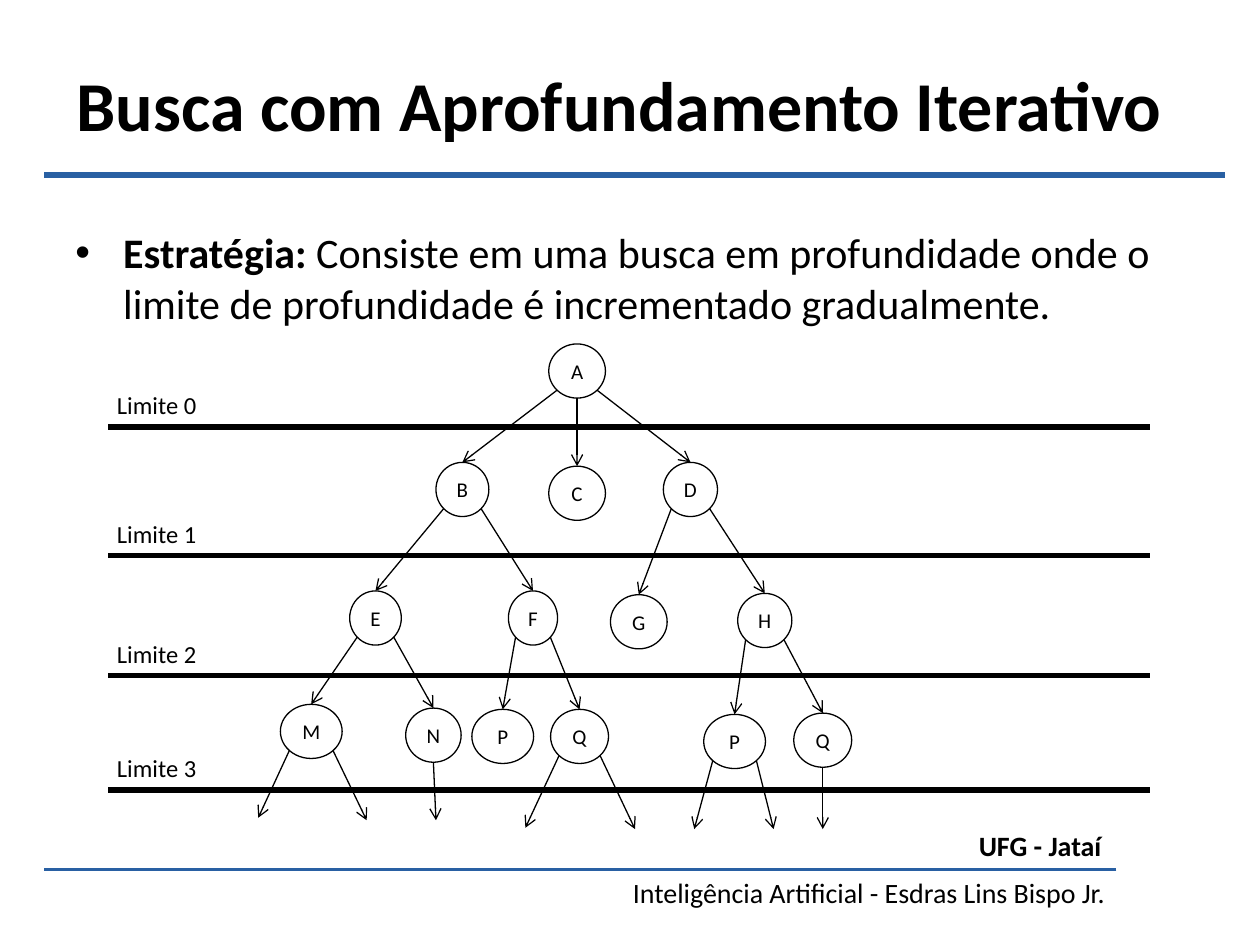
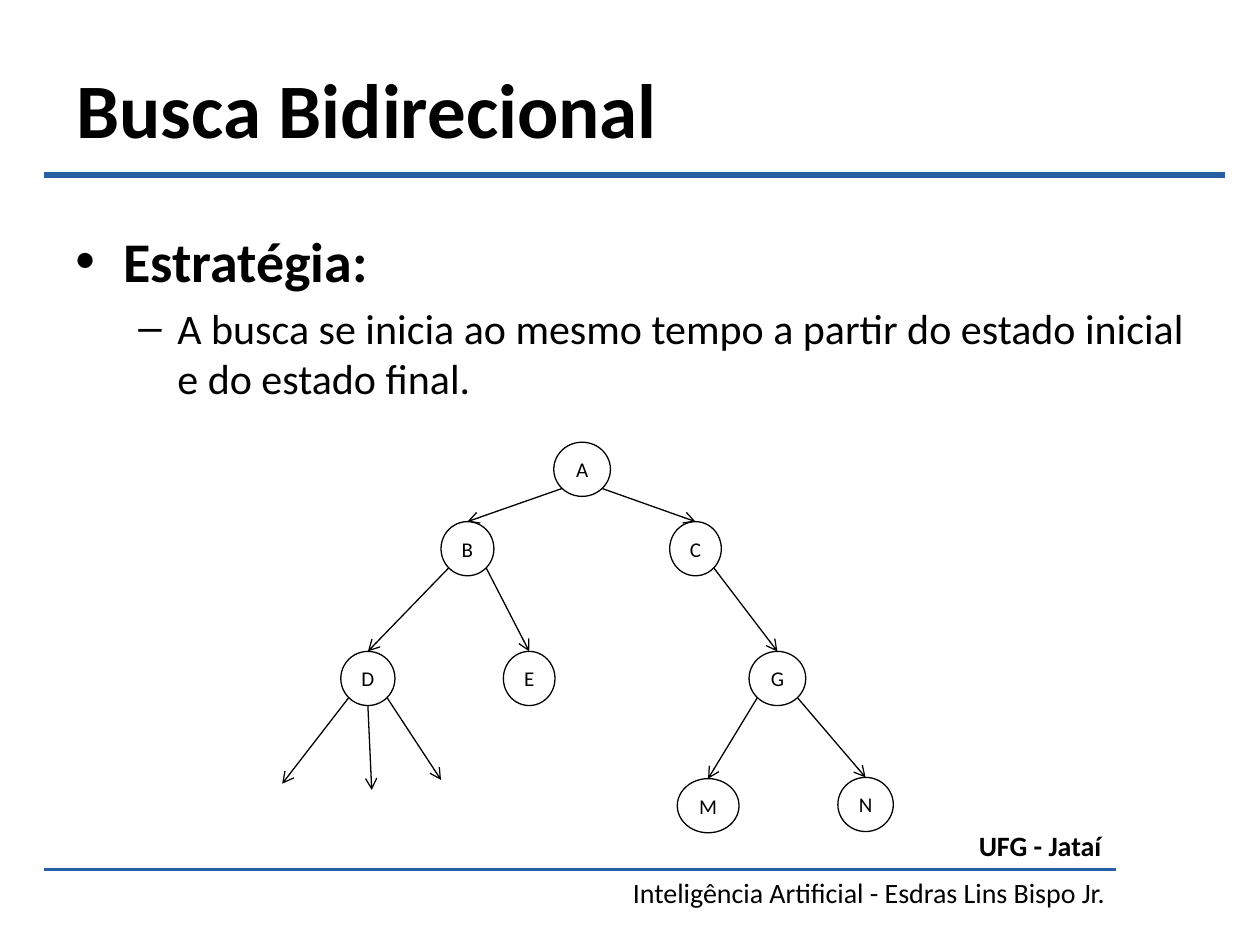
"""Builds two slides on tree search strategies."""
from math import sqrt

from lxml import etree
from pptx import Presentation
from pptx.dml.color import RGBColor
from pptx.enum.shapes import MSO_CONNECTOR as LINE, MSO_SHAPE as SHAPE
from pptx.enum.text import MSO_ANCHOR as ANCHOR, PP_ALIGN as ALIGN
from pptx.oxml.ns import qn
from pptx.util import Inches, Pt

FONT = "Calibri"
BLACK, BLUE = "000000", "2960A3"
NODE_H = 0.43
LIMITS = [3.39, 4.41, 5.36, 6.27]

# Node: centre x, top, width. The first letter of the key is the label.
ITERATIVE_NODES = {
    "A": (4.58, 2.73, 0.45), "B": (3.67, 3.67, 0.42), "C": (4.58, 3.7, 0.45),
    "D": (5.48, 3.67, 0.43), "E": (2.98, 4.69, 0.41), "F": (4.23, 4.69, 0.39),
    "G": (5.07, 4.72, 0.45), "H": (6.07, 4.71, 0.43), "M": (2.47, 5.59, 0.49),
    "N": (3.44, 5.62, 0.44), "P1": (3.99, 5.63, 0.49), "Q1": (4.6, 5.63, 0.46),
    "P2": (5.83, 5.67, 0.49), "Q2": (6.53, 5.66, 0.46),
}
ITERATIVE_CHILDREN = {
    "A": ["B", "C", "D"], "B": ["E", "F"], "D": ["G", "H"],
    "E": ["M", "N"], "F": ["P1", "Q1"], "H": ["P2", "Q2"],
}
ITERATIVE_OPEN_ENDS = {
    "M": [(2.05, 6.49), (2.91, 6.51)], "N": [(3.46, 6.51)],
    "Q1": [(4.17, 6.57), (5.04, 6.58)], "P2": [(5.51, 6.58), (6.14, 6.58)],
    "Q2": [(6.53, 6.58)],
}
BIDIRECTIONAL_NODES = {
    "A": (4.62, 3.51, 0.45), "B": (3.71, 4.14, 0.42), "C": (5.52, 4.14, 0.41),
    "D": (2.92, 5.17, 0.43), "E": (4.2, 5.17, 0.41), "G": (6.17, 5.17, 0.45),
    "M": (5.62, 6.18, 0.49), "N": (6.87, 6.17, 0.44),
}
BIDIRECTIONAL_CHILDREN = {"A": ["B", "C"], "B": ["D", "E"], "C": ["G"], "G": ["M", "N"]}
BIDIRECTIONAL_OPEN_ENDS = {"D": [(2.24, 6.22), (2.95, 6.27), (3.5, 6.19)]}


def rgb(value):
    """Turn a hex string into a colour."""
    return RGBColor.from_string(value)


def add_run(p, text, size, bold=False):
    """Append one styled run to a paragraph."""
    r = p.add_run()
    r.text = text
    r.font.name, r.font.size, r.font.bold = FONT, Pt(size), bold
    r.font.color.rgb = rgb(BLACK)


def add_text(s, x, y, w, h, text, size, bold=False, align=ALIGN.LEFT):
    """Add a one-line text box."""
    tf = s.shapes.add_textbox(Inches(x), Inches(y), Inches(w), Inches(h)).text_frame
    tf.word_wrap = True
    p = tf.paragraphs[0]
    p.alignment = align
    add_run(p, text, size, bold)


def add_line(s, start, end, width=0.75, color=BLACK, arrow=False):
    """Add a straight line, with an arrowhead at its end if asked."""
    points = [Inches(v) for v in (*start, *end)]
    line = s.shapes.add_connector(LINE.STRAIGHT, *points)
    line.line.width = Pt(width)
    line.line.color.rgb = rgb(color)
    if arrow:
        etree.SubElement(line.line._get_or_add_ln(), qn("a:tailEnd"), type="arrow")
    etree.SubElement(line._element.spPr, qn("a:effectLst"))
    return line


def add_bullet(p, char, indent, hanging, size, runs):
    """Fill a paragraph as a bullet with a hanging indent."""
    p.space_before = Pt(0.2 * size)
    pPr = p._p.get_or_add_pPr()
    pPr.set("marL", str(Inches(indent)))
    pPr.set("indent", str(-Inches(hanging)))
    etree.SubElement(pPr, qn("a:buFont"), typeface="Arial")
    etree.SubElement(pPr, qn("a:buChar"), char=char)
    for text, bold in runs:
        add_run(p, text, size, bold)


def add_body(s, bullets):
    """Add the body text, one bullet per paragraph."""
    tf = s.shapes.add_textbox(Inches(0.5), Inches(1.75), Inches(9), Inches(4.95)).text_frame
    tf.word_wrap = True
    for i, bullet in enumerate(bullets):
        add_bullet(tf.add_paragraph() if i else tf.paragraphs[0], *bullet)


def add_node(s, label, cx, top, width):
    """Add a circled letter of the search tree."""
    sp = s.shapes.add_shape(SHAPE.OVAL, Inches(cx - width / 2), Inches(top),
                            Inches(width), Inches(NODE_H))
    sp.shadow.inherit = False
    sp.fill.background()
    sp.line.color.rgb = rgb(BLACK)
    sp.line.width = Pt(0.75)
    tf = sp.text_frame
    tf.margin_left = tf.margin_right = tf.margin_top = tf.margin_bottom = 0
    tf.word_wrap = False
    tf.vertical_anchor = ANCHOR.MIDDLE
    p = tf.paragraphs[0]
    p.alignment = ALIGN.CENTER
    add_run(p, label, 12)
    return sp


def exit_point(node, target_x):
    """Give the point of a node's lower edge that faces the target."""
    cx, top, width = node
    dx = target_x - cx
    if abs(dx) < 0.05:
        return cx, top + NODE_H
    side = 1 if dx > 0 else -1
    return cx + side * width / sqrt(8), top + NODE_H / 2 + NODE_H / sqrt(8)


def add_tree(s, nodes, children, open_ends):
    """Draw the nodes, the arrows between them and the open arrows."""
    circles = {key: add_node(s, key[0], *node) for key, node in nodes.items()}
    for parent, keys in children.items():
        for key in keys:
            cx, top, _ = nodes[key]
            line = add_line(s, exit_point(nodes[parent], cx), (cx, top), arrow=True)
            line.end_connect(circles[key], 0)
    for parent, ends in open_ends.items():
        for end in ends:
            add_line(s, exit_point(nodes[parent], end[0]), end, arrow=True)


def add_limits(s):
    """Draw the numbered depth limits."""
    for i, y in enumerate(LIMITS):
        add_text(s, 0.83, y - 0.34, 1.1, 0.34, f"Limite {i}", 14)
        add_line(s, (0.86, y), (9.13, y), 3)


def add_frame(prs, title, size):
    """Add a slide with its title, rules and footer."""
    s = prs.slides.add_slide(prs.slide_layouts[6])
    add_line(s, (9.72, 1.39), (0.35, 1.39), 3, BLUE)
    add_text(s, 0.51, 0.44, 9.2, 0.8, title, size, True)
    add_line(s, (8.86, 6.9), (0.35, 6.9), 1.5, BLUE)
    add_text(s, 6.84, 6.53, 2, 0.37, "UFG - Jataí", 16, True, ALIGN.RIGHT)
    add_text(s, 4.37, 6.9, 4.5, 0.37, "Inteligência Artificial - Esdras Lins Bispo Jr.",
             16, align=ALIGN.RIGHT)
    return s


def add_iterative_slide(prs):
    """Build the slide on iterative deepening."""
    s = add_frame(prs, "Busca com Aprofundamento Iterativo", 40)
    add_body(s, [("•", 0.38, 0.38, 24, [
        ("Estratégia: ", True),
        ("Consiste em uma busca em profundidade onde o limite de profundidade "
         "é incrementado gradualmente.", False)])])
    add_limits(s)
    add_tree(s, ITERATIVE_NODES, ITERATIVE_CHILDREN, ITERATIVE_OPEN_ENDS)


def add_bidirectional_slide(prs):
    """Build the slide on bidirectional search."""
    s = add_frame(prs, "Busca Bidirecional", 44)
    add_body(s, [
        ("•", 0.38, 0.38, 32, [("Estratégia:", True)]),
        ("–", 0.81, 0.31, 24, [("A busca se inicia ao mesmo tempo a partir do estado "
                                "inicial e do estado final.", False)])])
    add_tree(s, BIDIRECTIONAL_NODES, BIDIRECTIONAL_CHILDREN, BIDIRECTIONAL_OPEN_ENDS)


def main():
    """Build and save the presentation."""
    prs = Presentation()
    prs.slide_width, prs.slide_height = Inches(10), Inches(7.5)
    add_iterative_slide(prs)
    add_bidirectional_slide(prs)
    prs.save("out.pptx")


if __name__ == "__main__":
    main()
